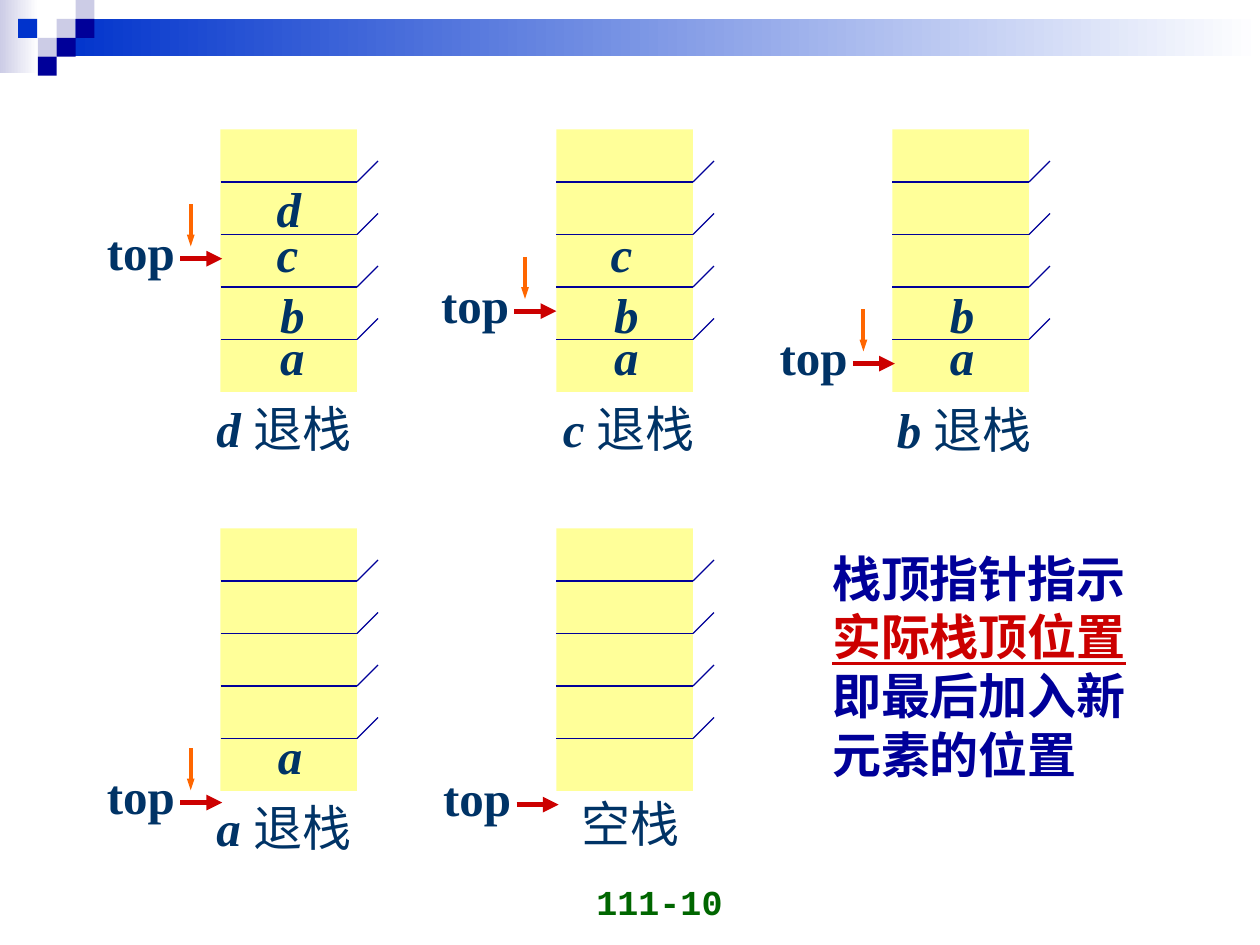
"""Build a slide that shows a stack being popped until it is empty."""
from dataclasses import dataclass

import lxml.etree
import pptx
import pptx.dml.color
import pptx.enum.shapes
import pptx.enum.text
import pptx.oxml.ns
import pptx.slide
import pptx.text.text
import pptx.util

Pt = pptx.util.Pt
qualified = pptx.oxml.ns.qn


@dataclass(frozen=True)
class Theme:
    white: str = "FFFFFF"
    lavender: str = "CCCCE6"
    blue: str = "0033CC"
    navy: str = "000099"
    cell: str = "FFFF99"
    ink: str = "003366"
    red: str = "CC0000"
    orange: str = "FF6600"
    green: str = "006600"
    serif: str = "Times New Roman"
    mono: str = "Courier New"
    text_size: float = 28
    number_size: float = 20


@dataclass(frozen=True)
class Box:
    left: float
    top: float
    width: float
    height: float


@dataclass(frozen=True)
class Pointer:
    left: float
    top: float
    moved: bool = True


@dataclass(frozen=True)
class Stack:
    left: float
    top: float
    items: str
    item_shift: float
    popped: str
    action: str
    caption: Box
    pointer: Pointer


THEME = Theme()
STACK_WIDTH, CELL_HEIGHT, CELL_COUNT, TICK = 78, 30, 5, 12
LINE_HEIGHT = 41
ITEM_OFFSETS = {"a": (0, 109), "b": (0, 85), "c": (-2, 50), "d": (-2, 24.6)}
STACKS = (
    Stack(126, 74, "abcd", 27, "d", "退栈", Box(116.6, 224, 101, LINE_HEIGHT), Pointer(103, 147.8)),
    Stack(318, 74, "abc", 25.8, "c", "退栈", Box(314.6, 224, 101, LINE_HEIGHT), Pointer(294, 177.8)),
    Stack(510, 74, "ab", 25.7, "b", "退栈", Box(505.4, 225, 101, LINE_HEIGHT), Pointer(487.4, 207.8)),
    Stack(126, 302, "a", 25.7, "a", "退栈", Box(116.6, 452, 101, LINE_HEIGHT), Pointer(103, 458.6)),
    Stack(318, 302, "", 26, "", "空栈", Box(325.4, 450, 73, LINE_HEIGHT), Pointer(295.2, 459.8, False)),
)
SQUARE = 10.8
SQUARES = (
    (32.4, 10.8, THEME.lavender),
    (43.2, 0, THEME.lavender),
    (43.2, 10.8, THEME.navy),
    (21.6, 21.6, THEME.lavender),
    (10.4, 10.8, THEME.blue),
    (32.4, 21.6, THEME.navy),
    (21.6, 32.4, THEME.navy),
)
NOTE_LINES = (
    ("栈顶指针指示", THEME.navy, False),
    ("实际栈顶位置", THEME.red, True),
    ("即最后加入新", THEME.navy, False),
    ("元素的位置", THEME.navy, False),
)


def rgb(value: str) -> pptx.dml.color.RGBColor:
    """Return the colour for a hexadecimal value."""
    return pptx.dml.color.RGBColor.from_string(value)


def draw_rectangle(slide: pptx.slide.Slide, box: Box, color: str, end_color: str = "") -> None:
    """Draw a borderless rectangle, filled plainly or with a gradient to the right."""
    shape = slide.shapes.add_shape(
        pptx.enum.shapes.MSO_SHAPE.RECTANGLE, Pt(box.left), Pt(box.top), Pt(box.width), Pt(box.height)
    )
    shape.shadow.inherit = False
    shape.line.fill.background()
    if not end_color:
        shape.fill.solid()
        shape.fill.fore_color.rgb = rgb(color)
        return
    shape.fill.gradient()
    shape.fill.gradient_angle = 0
    for stop, position, value in zip(shape.fill.gradient_stops, (0, 1), (color, end_color)):
        stop.position = position
        stop.color.rgb = rgb(value)


def draw_line(slide: pptx.slide.Slide, start: tuple[float, float], end: tuple[float, float],
              color: str, width: float, head_width: str = "") -> None:
    """Draw a straight line, with an arrowhead at its end if a head width is given."""
    connector = slide.shapes.add_connector(
        pptx.enum.shapes.MSO_CONNECTOR.STRAIGHT, *(Pt(value) for value in (*start, *end))
    )
    connector.line.color.rgb = rgb(color)
    connector.line.width = Pt(width)
    if head_width:
        line = connector.line._get_or_add_ln()
        lxml.etree.SubElement(line, qualified("a:tailEnd"), type="triangle", w=head_width)
    lxml.etree.SubElement(connector._element.spPr, qualified("a:effectLst"))


def add_text_box(slide: pptx.slide.Slide, box: Box) -> pptx.text.text.TextFrame:
    """Add an unwrapped text box and return its text frame."""
    shape = slide.shapes.add_textbox(Pt(box.left), Pt(box.top), Pt(box.width), Pt(box.height))
    shape.text_frame.word_wrap = False
    return shape.text_frame


def format_font(font: pptx.text.text.Font, color: str = THEME.ink, bold: bool = True,
                italic: bool = False, name: str = THEME.serif, size: float = THEME.text_size) -> None:
    """Set the face, size, colour and style of a font."""
    font.name = name
    font.size = Pt(size)
    font.color.rgb = rgb(color)
    font.bold = bold
    font.italic = italic


def draw_label(slide: pptx.slide.Slide, box: Box, text: str, italic: bool = False) -> None:
    """Draw one bold line of text."""
    paragraph = add_text_box(slide, box).paragraphs[0]
    paragraph.text = text
    format_font(paragraph.font, italic=italic)


def draw_caption(slide: pptx.slide.Slide, stack: Stack) -> None:
    """Draw the popped item and the action under a stack."""
    paragraph = add_text_box(slide, stack.caption).paragraphs[0]
    if stack.popped:
        run = paragraph.add_run()
        run.text = f"{stack.popped} "
        format_font(run.font, italic=True)
    run = paragraph.add_run()
    run.text = stack.action
    format_font(run.font, bold=False)


def draw_pointer(slide: pptx.slide.Slide, pointer: Pointer) -> None:
    """Draw the top pointer and, if it has moved, its downward arrow."""
    left, top = pointer.left, pointer.top
    draw_label(slide, Box(left - 49, top - 24.6, 53.3, LINE_HEIGHT), "top")
    draw_line(slide, (left, top), (left + 24, top), THEME.red, 3, head_width="med")
    if pointer.moved:
        draw_line(slide, (left + 6, top - 31), (left + 6, top - 7), THEME.orange, 2.25, head_width="sm")


def draw_stack(slide: pptx.slide.Slide, stack: Stack) -> None:
    """Draw a stack with its cells, items, caption and pointer."""
    draw_rectangle(slide, Box(stack.left, stack.top, STACK_WIDTH, CELL_HEIGHT * CELL_COUNT), THEME.cell)
    right = stack.left + STACK_WIDTH
    for row in range(1, CELL_COUNT):
        height = stack.top + row * CELL_HEIGHT
        draw_line(slide, (stack.left, height), (right, height), THEME.navy, 0.75)
        draw_line(slide, (right, height), (right + TICK, height - TICK), THEME.navy, 0.75)
    for item in stack.items:
        shift, drop = ITEM_OFFSETS[item]
        box = Box(stack.left + stack.item_shift + shift, stack.top + drop, 28, LINE_HEIGHT)
        draw_label(slide, box, item, italic=True)
    draw_caption(slide, stack)
    draw_pointer(slide, stack.pointer)


def draw_banner(slide: pptx.slide.Slide) -> None:
    """Draw the gradient bars and the small squares at the top."""
    draw_rectangle(slide, Box(0, 0, 22, 41.8), THEME.lavender, THEME.white)
    draw_rectangle(slide, Box(32.4, 10.8, 687.6, 21.4), THEME.blue, THEME.white)
    for left, top, color in SQUARES:
        draw_rectangle(slide, Box(left, top, SQUARE, SQUARE), color)


def draw_note(slide: pptx.slide.Slide) -> None:
    """Draw the explanation of the top pointer."""
    frame = add_text_box(slide, Box(468.4, 309.6, 184, 142))
    for index, (text, color, underlined) in enumerate(NOTE_LINES):
        paragraph = frame.add_paragraph() if index else frame.paragraphs[0]
        paragraph.text = text
        format_font(paragraph.font, color)
        paragraph.font.underline = underlined


def draw_number(slide: pptx.slide.Slide) -> None:
    """Draw the page number."""
    frame = add_text_box(slide, Box(252, 494.6, 168, 36))
    frame.word_wrap = True
    frame.vertical_anchor = pptx.enum.text.MSO_ANCHOR.BOTTOM
    paragraph = frame.paragraphs[0]
    paragraph.text = "111-10"
    paragraph.alignment = pptx.enum.text.PP_ALIGN.RIGHT
    format_font(paragraph.font, THEME.green, name=THEME.mono, size=THEME.number_size)


def main() -> None:
    """Build and save the presentation."""
    presentation = pptx.Presentation()
    presentation.slide_width, presentation.slide_height = Pt(720), Pt(540)
    slide = presentation.slides.add_slide(presentation.slide_layouts[6])
    draw_banner(slide)
    draw_number(slide)
    for stack in STACKS:
        draw_stack(slide, stack)
    draw_note(slide)
    presentation.save("out.pptx")


if __name__ == "__main__":
    main()
